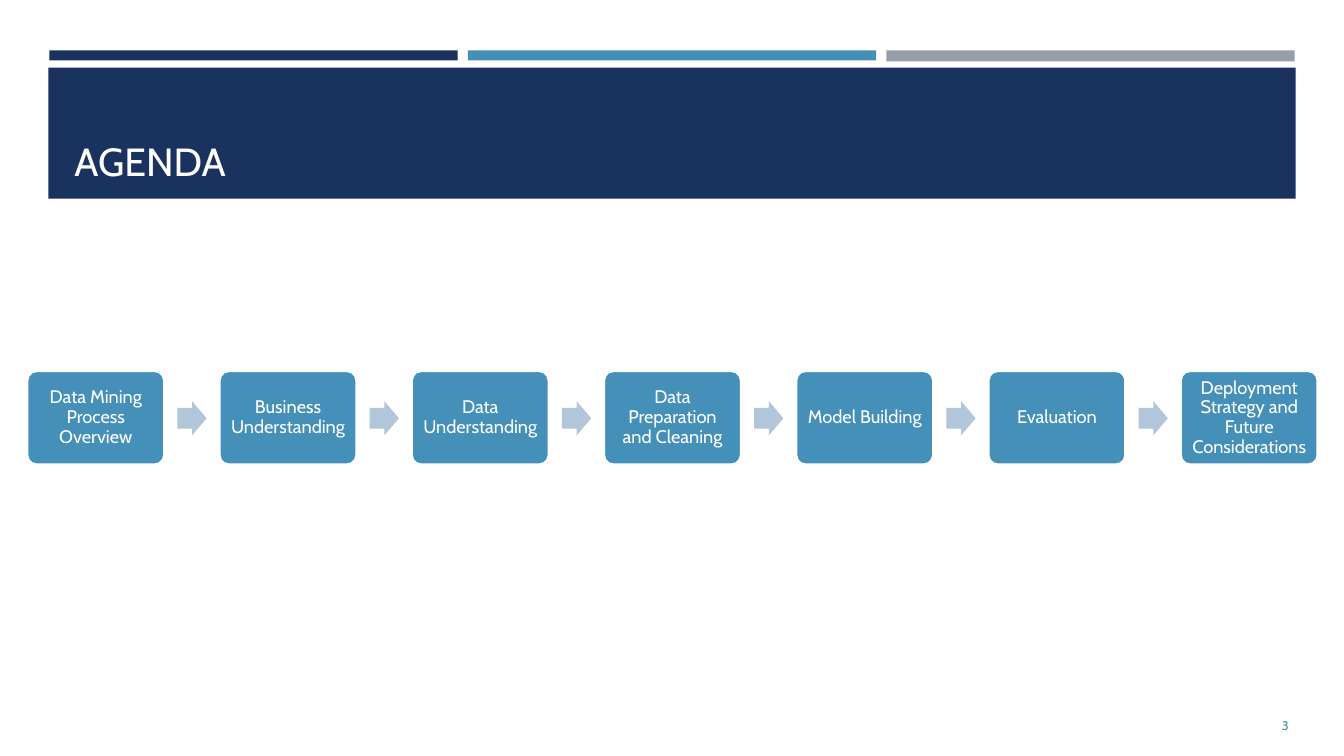
from dataclasses import dataclass

from pptx import Presentation
from pptx import util as u
from pptx.dml import color as c
from pptx.enum import shapes as s
from pptx.enum import text as t
from pptx.shapes.autoshape import Shape
from pptx.slide import Slide


@dataclass(frozen=True)
class Theme:
    font: str = "Cabin"
    navy: str = "1A3260"
    blue: str = "4590B8"
    gray: str = "969FA7"
    pale: str = "B1C6D8"
    white: str = "FFFFFF"
    title: float = 28
    step: float = 13
    num: float = 9


@dataclass(frozen=True)
class Box:
    left: float
    top: float
    width: float
    height: float

    def place(self) -> tuple[u.Length, ...]:
        return tuple(u.Inches(v) for v in
                     (self.left, self.top, self.width, self.height))


@dataclass(frozen=True)
class Label:
    text: str
    size: float
    color: str
    align: t.PP_ALIGN
    anchor: t.MSO_ANCHOR


THEME = Theme()
KIND = s.MSO_SHAPE
MIDDLE = t.MSO_ANCHOR.MIDDLE

STEPS = (
    "Data Mining Process Overview",
    "Business Understanding",
    "Data Understanding",
    "Data Preparation and Cleaning",
    "Model Building",
    "Evaluation",
    "Deployment Strategy and Future Considerations",
)
FIRST, LAST = 0.27, 11.71
PITCH = (LAST - FIRST) / (len(STEPS) - 1)

BARS = (
    (Box(0.49, 0.5, 4.05, 0.1), THEME.navy),
    (Box(4.64, 0.5, 4.05, 0.1), THEME.blue),
    (Box(8.79, 0.5, 4.05, 0.11), THEME.gray),
    (Box(0.48, 0.67, 12.37, 1.3), THEME.navy),
)


def draw(slide: Slide, kind: s.MSO_SHAPE, box: Box, fill: str) -> Shape:
    """Add a filled shape with no outline or shadow."""
    shape = slide.shapes.add_shape(kind, *box.place())
    shape.shadow.inherit = False
    shape.fill.solid()
    shape.fill.fore_color.rgb = c.RGBColor.from_string(fill)
    shape.line.fill.background()
    return shape


def write(shape: Shape, label: Label) -> None:
    """Set and format the text of a shape."""
    frame = shape.text_frame
    frame.word_wrap = True
    frame.vertical_anchor = label.anchor
    frame.text = label.text
    para = frame.paragraphs[0]
    para.alignment = label.align
    font = para.runs[0].font
    font.name = THEME.font
    font.size = u.Pt(label.size)
    font.color.rgb = c.RGBColor.from_string(label.color)


def add_step(slide: Slide, left: float, name: str) -> None:
    """Add one rounded agenda box."""
    shape = draw(slide, KIND.ROUNDED_RECTANGLE,
                 Box(left, 3.68, 1.36, 0.93), THEME.blue)
    shape.adjustments[0] = 0.1
    shape.line.color.rgb = c.RGBColor.from_string(THEME.white)
    shape.line.width = u.Pt(1.75)
    write(shape, Label(name, THEME.step, THEME.white,
                       t.PP_ALIGN.CENTER, MIDDLE))
    frame = shape.text_frame
    frame.margin_left = frame.margin_right = u.Inches(0.07)
    frame.margin_top = frame.margin_bottom = u.Inches(0.07)
    frame.paragraphs[0].line_spacing = 0.9


def add_arrow(slide: Slide, left: float) -> None:
    """Add the arrow that leads to the next step."""
    arrow = draw(slide, KIND.RIGHT_ARROW,
                 Box(left, 3.98, 0.29, 0.34), THEME.pale)
    arrow.adjustments[0] = 0.6
    arrow.adjustments[1] = 0.5


def main() -> None:
    deck = Presentation()
    deck.slide_width = u.Inches(13.33)
    deck.slide_height = u.Inches(7.5)
    slide = deck.slides.add_slide(deck.slide_layouts[6])

    # Header bars and title band
    for box, fill in BARS:
        draw(slide, KIND.RECTANGLE, box, fill)
    title = slide.shapes.add_textbox(*Box(0.64, 0.77, 12.06, 1.11).place())
    write(title, Label("AGENDA", THEME.title, THEME.white,
                       t.PP_ALIGN.LEFT, t.MSO_ANCHOR.BOTTOM))

    # Agenda steps with arrows between them
    for i, name in enumerate(STEPS):
        left = FIRST + i * PITCH
        add_step(slide, left, name)
        if i < len(STEPS) - 1:
            add_arrow(slide, left + 1.49)

    # Slide number
    num = slide.shapes.add_textbox(*Box(11.73, 7, 1.15, 0.4).place())
    write(num, Label("3", THEME.num, THEME.blue, t.PP_ALIGN.RIGHT, MIDDLE))

    deck.save("out.pptx")


if __name__ == "__main__":
    main()
